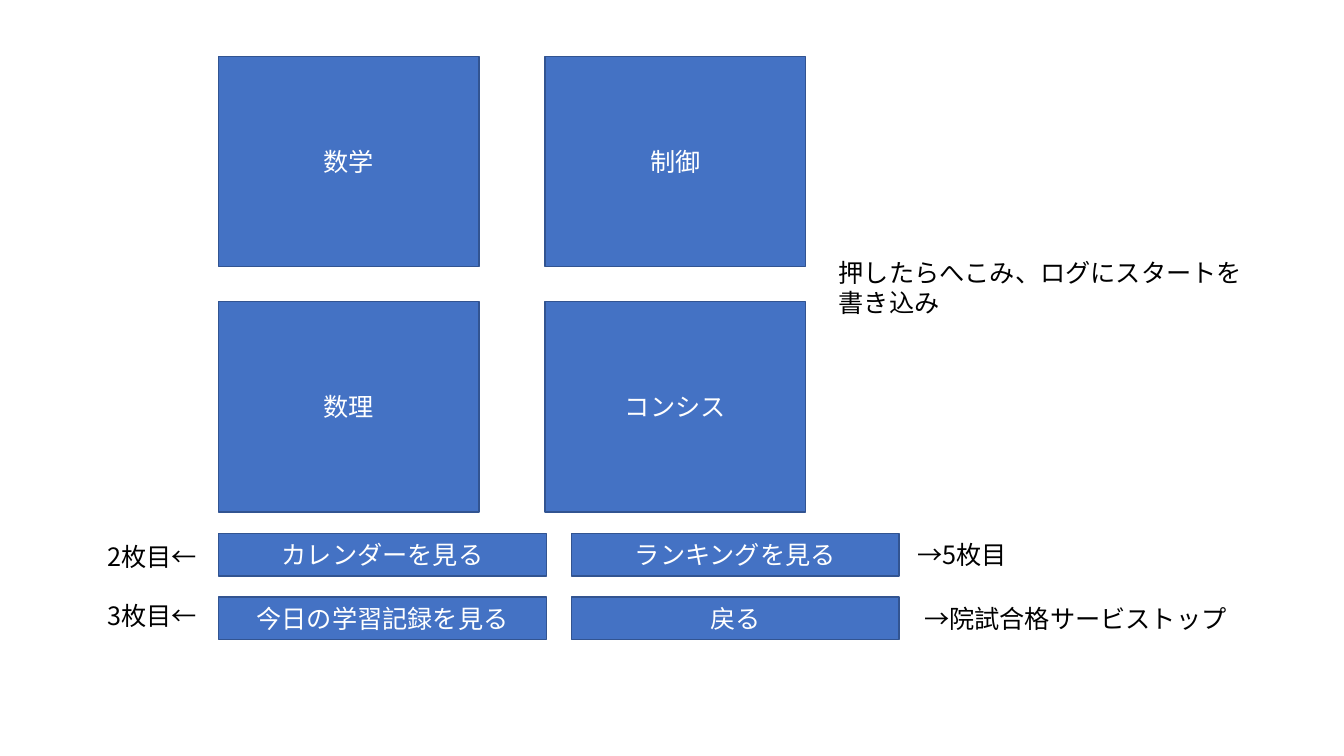
from dataclasses import dataclass

from lxml.etree import SubElement
from pptx import Presentation
from pptx.dml.color import RGBColor
from pptx.enum.shapes import MSO_SHAPE
from pptx.enum.text import MSO_ANCHOR, MSO_AUTO_SIZE, PP_ALIGN
from pptx.oxml.ns import qn
from pptx.util import Pt


@dataclass(frozen=True)
class Theme:
    fill: RGBColor = RGBColor(0x44, 0x72, 0xC4)
    edge: RGBColor = RGBColor(0x32, 0x54, 0x91)
    light: RGBColor = RGBColor(255, 255, 255)
    dark: RGBColor = RGBColor(0, 0, 0)
    font: str = "Noto Sans CJK JP"
    size: float = 18
    lead: float = 21.5


THEME = Theme()
BOX = {"word_wrap": True, "vertical_anchor": MSO_ANCHOR.MIDDLE}
NOTE = {"word_wrap": True, "vertical_anchor": MSO_ANCHOR.TOP,
        "auto_size": MSO_AUTO_SIZE.SHAPE_TO_FIT_TEXT}


def apply(item, form):
    for name, value in form.items():
        setattr(item, name, value)


def write(shape, text, color, align, form):
    frame = shape.text_frame
    apply(frame, form)
    para = frame.paragraphs[0]
    apply(para, {"alignment": align, "line_spacing": Pt(THEME.lead)})
    run = para.add_run()
    run.text = text
    apply(run.font, {"name": THEME.font, "size": Pt(THEME.size)})
    run.font.color.rgb = color
    # East Asian typeface
    SubElement(run.font._element, qn("a:ea"), typeface=THEME.font)


def button(shapes, text, left, top, wide, high):
    shape = shapes.add_shape(MSO_SHAPE.RECTANGLE, Pt(left), Pt(top), Pt(wide), Pt(high))
    shape.shadow.inherit = False
    shape.fill.solid()
    shape.fill.fore_color.rgb = THEME.fill
    shape.line.color.rgb = THEME.edge
    shape.line.width = Pt(1)
    write(shape, text, THEME.light, PP_ALIGN.CENTER, BOX)


def note(shapes, text, left, top, wide, high):
    shape = shapes.add_textbox(Pt(left), Pt(top), Pt(wide), Pt(high))
    write(shape, text, THEME.dark, PP_ALIGN.LEFT, NOTE)


def grid(shapes, rows, box, gap_x, gap_y):
    """Fill the box with equal buttons, row by row."""
    left, top, wide, high = box
    cell_w = (wide - gap_x * (len(rows[0]) - 1)) / len(rows[0])
    cell_h = (high - gap_y * (len(rows) - 1)) / len(rows)
    for r, row in enumerate(rows):
        for c, text in enumerate(row):
            button(shapes, text, left + c * (cell_w + gap_x),
                   top + r * (cell_h + gap_y), cell_w, cell_h)


def topics(slide, box):
    # Subject tiles move as one group
    group = slide.shapes.add_group_shape()
    grid(group.shapes, [["数学", "制御"], ["数理", "コンシス"]], box, 47.2, 25)


def links(slide, box):
    # Navigation buttons, with their targets on both sides
    left, top, wide, _ = box
    grid(slide.shapes, [["カレンダーを見る", "ランキングを見る"],
                        ["今日の学習記録を見る", "戻る"]], box, 18, 15)
    right = left + wide
    for text, x, y, width in [("2枚目←", left - 86.4, top + 2, 136),
                              ("3枚目←", left - 86.4, top + 44.5, 136),
                              ("→5枚目", right + 5.8, top + 0.6, 136),
                              ("→院試合格サービストップ", right + 10.8, top + 46.6, 247)]:
        note(slide.shapes, text, x, y, width, 29)


def main():
    deck = Presentation()
    apply(deck, {"slide_width": Pt(960), "slide_height": Pt(540)})
    slide = deck.slides.add_slide(deck.slide_layouts[6])
    topics(slide, (156.2, 40.3, 419.2, 325.5))
    links(slide, (156.2, 381, 486, 75.8))
    # Behaviour of the tiles
    note(slide.shapes, "押したらへこみ、ログにスタートを書き込み", 592, 180, 308, 51)
    deck.save("out.pptx")


if __name__ == "__main__":
    main()
